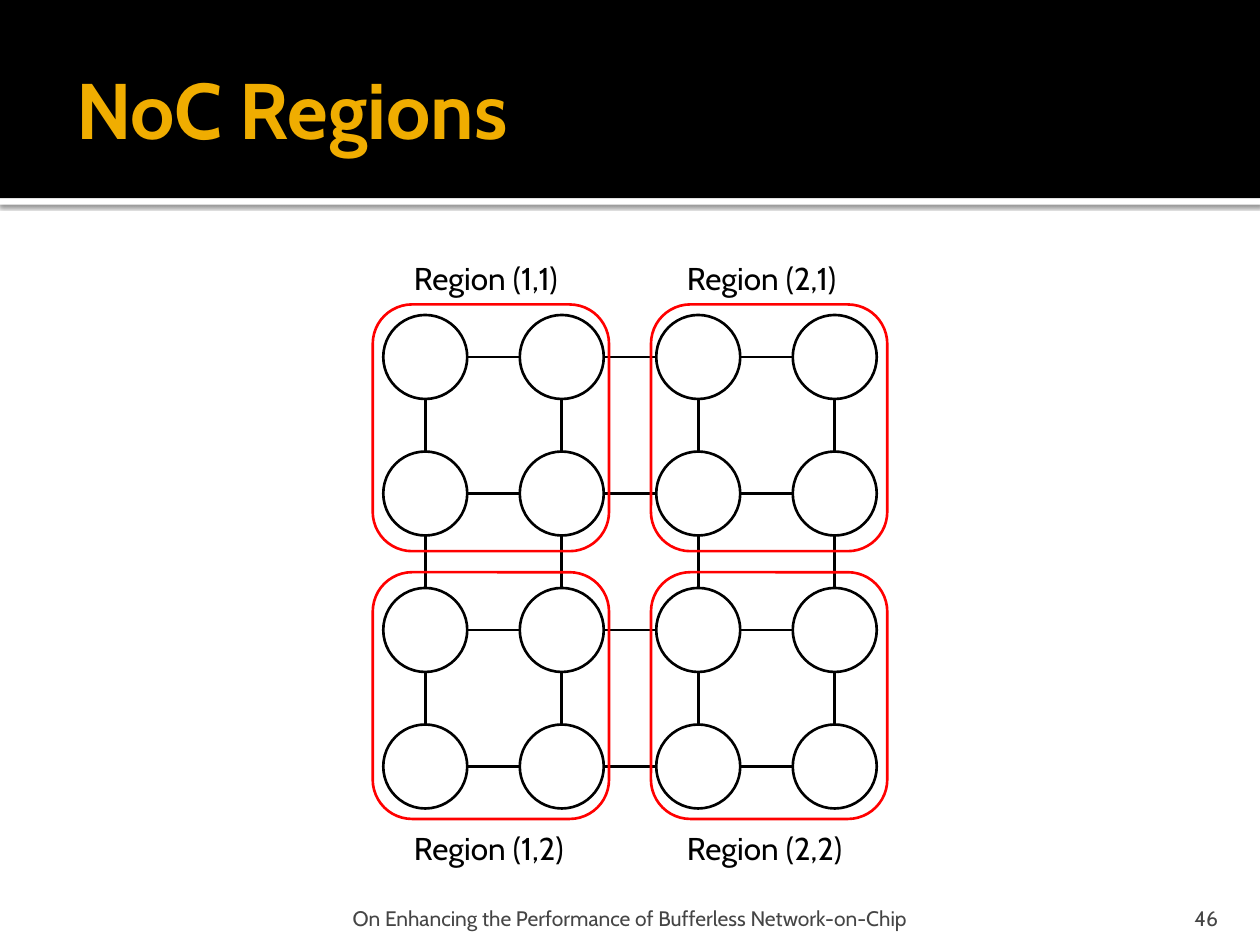
from dataclasses import dataclass

from lxml import etree
from pptx import Presentation
from pptx.dml.color import RGBColor
from pptx.enum.shapes import MSO_CONNECTOR, MSO_SHAPE
from pptx.enum.text import MSO_ANCHOR, MSO_AUTO_SIZE, PP_ALIGN
from pptx.oxml.ns import qn
from pptx.util import Emu, Pt

PX = 9525  # EMU per px, 96 px to the inch
FONT = "Cabin"
BLACK = RGBColor(0x00, 0x00, 0x00)
WHITE = RGBColor(0xFF, 0xFF, 0xFF)
RED = RGBColor(0xFF, 0x00, 0x00)
AMBER = RGBColor(0xF0, 0xAD, 0x00)
GREY = RGBColor(0x45, 0x45, 0x45)

RECT, OVAL, ROUND = MSO_SHAPE.RECTANGLE, MSO_SHAPE.OVAL, MSO_SHAPE.ROUNDED_RECTANGLE
STRAIGHT = MSO_CONNECTOR.STRAIGHT
LEFT, CENTER, RIGHT = PP_ALIGN.LEFT, PP_ALIGN.CENTER, PP_ALIGN.RIGHT
TOP, MIDDLE, BOTTOM = MSO_ANCHOR.TOP, MSO_ANCHOR.MIDDLE, MSO_ANCHOR.BOTTOM
NO_FIT, GROW = MSO_AUTO_SIZE.NONE, MSO_AUTO_SIZE.SHAPE_TO_FIT_TEXT

# Mesh of routers
GRID = 4
NODE = 64
PITCH = 104
MESH_X, MESH_Y = 292, 240


@dataclass
class Box:
    x: int
    y: int
    w: int
    h: int

    def emu(self) -> list[Emu]:
        return [Emu(v * PX) for v in (self.x, self.y, self.w, self.h)]


@dataclass
class Region:
    name: str
    box: Box
    label: Box


@dataclass
class Label:
    text: str
    box: Box
    align: PP_ALIGN
    side: int  # left and right inset


REGIONS = [
    Region(
        f"Region ({col + 1},{row + 1})",
        Box(284 + 212 * col, 232 + 204 * row, 180, 188),
        Box(306 + 208 * col, 193 + 434 * row, 140, 38),
    )
    for row in range(2)
    for col in range(2)
]
FOOTERS = [
    Label("On Enhancing the Performance of Bufferless Network-on-Chip",
          Box(191, 680, 578, 29), CENTER, 5),
    Label("46", Box(861, 680, 77, 29), RIGHT, 10),
]


def add_shape(s, kind, box: Box, fill=None, line=None):
    sp = s.shapes.add_shape(kind, *box.emu())
    sp.shadow.inherit = False
    if fill is None:
        sp.fill.background()
    else:
        sp.fill.solid()
        sp.fill.fore_color.rgb = fill
    if line is None:
        sp.line.fill.background()
    else:
        sp.line.color.rgb = line
        sp.line.width = Pt(1.5)
    return sp


def add_link(s, x1: int, y1: int, x2: int, y2: int) -> None:
    link = s.shapes.add_connector(STRAIGHT, *[Emu(v * PX) for v in (x1, y1, x2, y2)])
    link.line.color.rgb = BLACK
    link.line.width = Pt(1.5)
    etree.SubElement(link._element.spPr, qn("a:effectLst"))


def set_text(sp, text: str, frame: dict, font: dict, align=LEFT) -> None:
    tf = sp.text_frame
    for name, value in frame.items():
        setattr(tf, name, value)
    p = tf.paragraphs[0]
    p.alignment = align
    r = p.add_run()
    r.text = text
    r.font.name = FONT
    r.font.color.rgb = font["color"]
    r.font.size = Pt(font["size"])
    r.font.bold = font.get("bold", False)


def add_strip_shadow(sp) -> None:
    effects = sp._element.spPr.find(qn("a:effectLst"))
    shadow = etree.SubElement(effects, qn("a:outerShdw"), blurRad=str(Pt(2.5)),
                              dist=str(Pt(0.8)), dir="5400000", rotWithShape="0")
    color = etree.SubElement(shadow, qn("a:srgbClr"), val=str(BLACK))
    etree.SubElement(color, qn("a:alpha"), val="60000")


def insets(left: int, top: int, right: int, bottom: int) -> dict:
    names = ("margin_left", "margin_top", "margin_right", "margin_bottom")
    return {n: Emu(v * PX) for n, v in zip(names, (left, top, right, bottom))}


def add_header(s) -> None:
    add_strip_shadow(add_shape(s, RECT, Box(0, 151, 960, 5), WHITE))
    add_shape(s, RECT, Box(0, 0, 960, 151), BLACK)
    title = s.shapes.title
    title.left, title.top, title.width, title.height = Box(48, 16, 864, 132).emu()
    frame = {"word_wrap": True, "auto_size": NO_FIT, "vertical_anchor": MIDDLE,
             **insets(10, 5, 5, 5)}
    set_text(title, "NoC Regions", frame, {"size": 45, "color": AMBER, "bold": True})
    s.shapes._spTree.append(title._element)  # in front of the band


def add_footer(s, label: Label) -> None:
    frame = {"word_wrap": True, "auto_size": NO_FIT, "vertical_anchor": BOTTOM,
             **insets(label.side, 5, label.side, 0)}
    set_text(s.shapes.add_textbox(*label.box.emu()), label.text, frame,
             {"size": 12, "color": GREY}, label.align)


def add_mesh(s) -> None:
    half = NODE // 2
    for row in range(GRID):
        for col in range(GRID):
            x, y = MESH_X + col * PITCH, MESH_Y + row * PITCH
            add_shape(s, OVAL, Box(x, y, NODE, NODE), WHITE, BLACK)
            if col < GRID - 1:
                add_link(s, x + NODE, y + half, x + PITCH, y + half)
            if row < GRID - 1:
                add_link(s, x + half, y + NODE, x + half, y + PITCH)


def add_region(s, region: Region) -> None:
    add_shape(s, ROUND, region.box, line=RED)
    frame = {"word_wrap": False, "auto_size": GROW, "vertical_anchor": TOP}
    set_text(s.shapes.add_textbox(*region.label.emu()), region.name, frame,
             {"size": 18, "color": BLACK})


def main() -> None:
    prs = Presentation()
    prs.slide_width, prs.slide_height = Emu(960 * PX), Emu(720 * PX)
    s = prs.slides.add_slide(prs.slide_layouts[5])
    add_header(s)
    for label in FOOTERS:
        add_footer(s, label)
    add_mesh(s)
    for region in REGIONS:
        add_region(s, region)
    prs.save("out.pptx")


if __name__ == "__main__":
    main()
